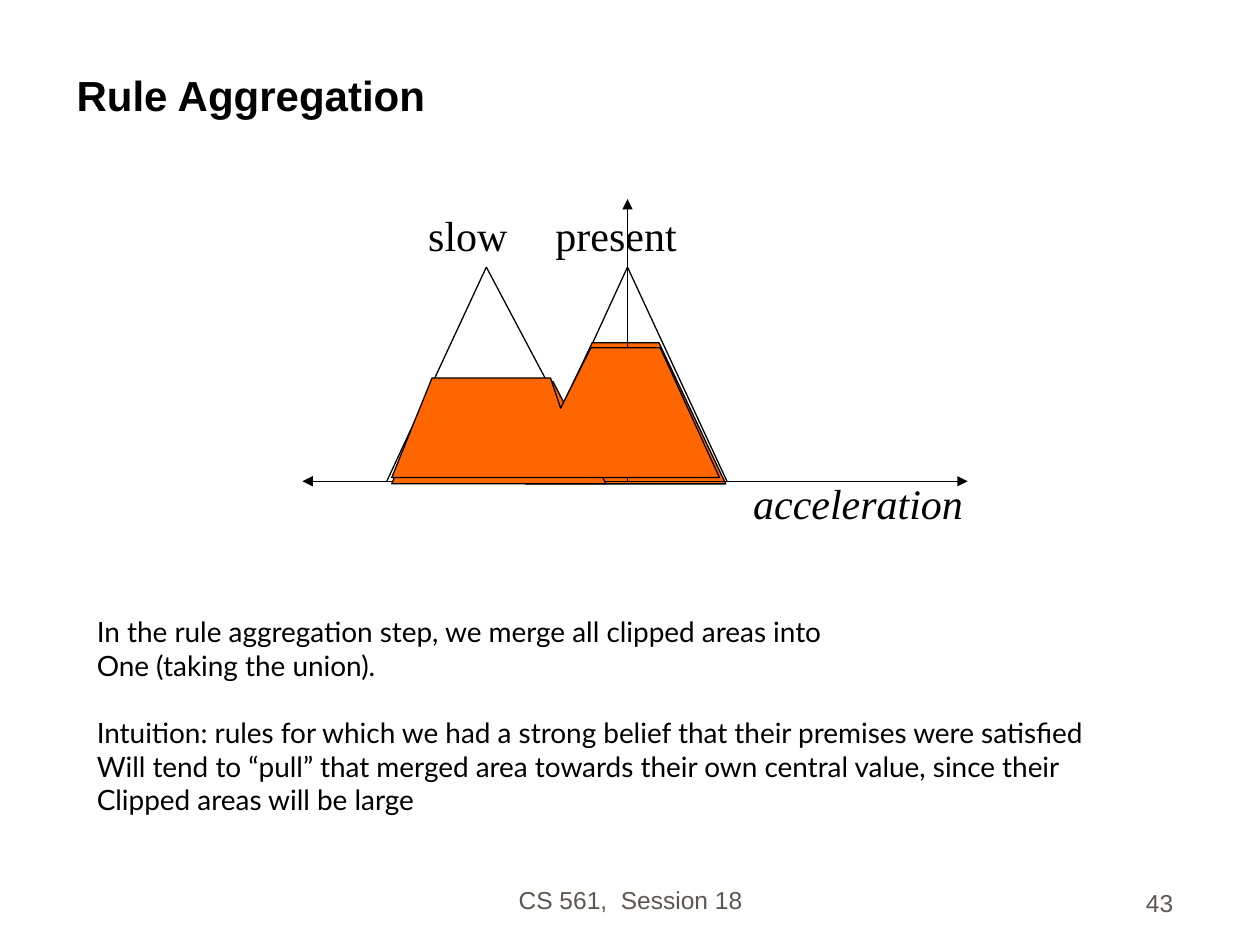
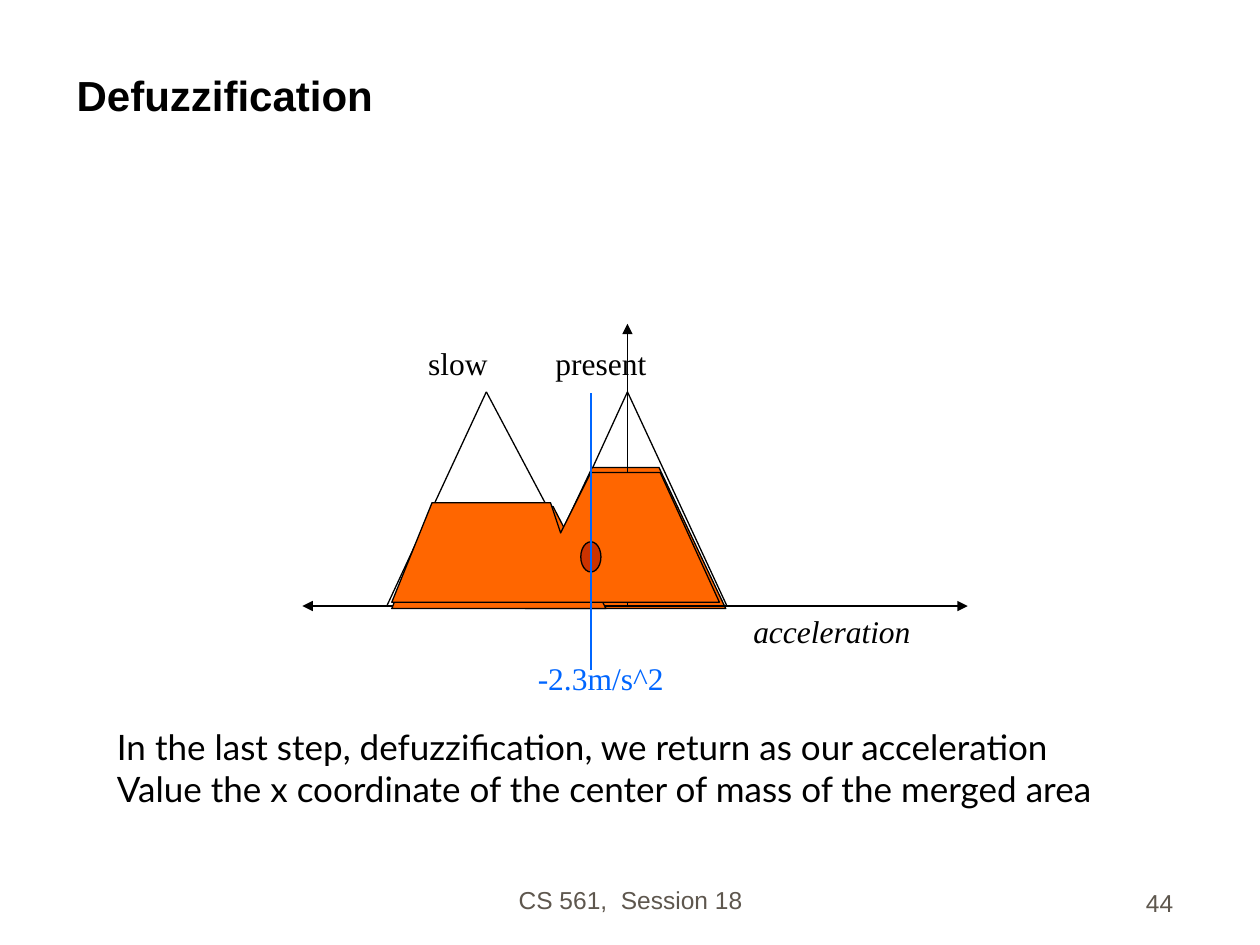
import pptx
import pptx.dml.color
import pptx.enum.shapes
import pptx.enum.text
import pptx.oxml
import pptx.oxml.ns
import pptx.util

PX = 9144  # 100 px to the inch
BLACK, GREY, ORANGE, RED, BLUE = "000000", "5E574E", "FF6600", "CC3300", "0066FF"
HEADING_FONT, BODY_FONT, GRAPH_FONT = "Arial", "Lato", "Times New Roman"
ALIGN = pptx.enum.text.PP_ALIGN
ANCHOR = pptx.enum.text.MSO_ANCHOR
AUTO_SIZE = pptx.enum.text.MSO_AUTO_SIZE
SHAPE = pptx.enum.shapes.MSO_SHAPE

# Graph geometry, relative to the graph's top left corner
BASELINE, PEAK = 224, 54
PRESENT_X, SLOW_X = 258, 146
PRESENT_CLIP = [(177, 226), (230, 114), (283, 114), (336, 226)]
SLOW_CLIP = [(71, 226), (103, 145), (199, 145), (241, 226)]
MERGED_AREA = [(71, 221), (103, 142), (197, 142), (205, 166),
               (229, 118), (284, 118), (331, 221)]


def px(length):
    return pptx.util.Emu(round(length * PX))


def color(hex_code):
    return pptx.dml.color.RGBColor.from_string(hex_code)


def add_text(slide, text, box, size, font, hex_code=BLACK, bold=False, italic=False,
             align=ALIGN.LEFT, anchor=ANCHOR.TOP, wrap=False, gaps=None):
    """Write one paragraph per line; gaps maps a line's index to its space before in points."""
    frame = slide.shapes.add_textbox(*map(px, box)).text_frame
    frame.word_wrap = wrap
    frame.auto_size = AUTO_SIZE.NONE if wrap else AUTO_SIZE.SHAPE_TO_FIT_TEXT
    frame.vertical_anchor = anchor
    for index, line in enumerate(text.split("\n")):
        paragraph = frame.add_paragraph() if index else frame.paragraphs[0]
        paragraph.alignment = align
        if gaps and index in gaps:
            paragraph.space_before = pptx.util.Pt(gaps[index])
        run = paragraph.add_run()
        run.text = line
        run.font.size = pptx.util.Pt(size)
        run.font.name = font
        run.font.bold, run.font.italic = bold, italic
        run.font.color.rgb = color(hex_code)


def add_line(slide, start, end, hex_code=BLACK, arrows=()):
    """Draw a straight line; arrows lists the ends with a triangle: headEnd, tailEnd."""
    line = slide.shapes.add_connector(
        pptx.enum.shapes.MSO_CONNECTOR.STRAIGHT, *map(px, (*start, *end)))
    line.line.color.rgb = color(hex_code)
    line.line.width = pptx.util.Pt(0.75)
    outline = line.line._get_or_add_ln()
    for arrow in arrows:
        tip = pptx.oxml.parse_xml(
            f'<a:{arrow} {pptx.oxml.ns.nsdecls("a")} type="triangle"/>')
        outline.append(tip)
    line._element.spPr.append(
        pptx.oxml.parse_xml(f'<a:effectLst {pptx.oxml.ns.nsdecls("a")}/>'))


def paint(shape, fill):
    shape.shadow.inherit = False
    shape.fill.solid()
    shape.fill.fore_color.rgb = color(fill)
    shape.line.color.rgb = color(BLACK)
    shape.line.width = pptx.util.Pt(0.75)


def add_area(slide, origin, corners):
    left, top = origin
    points = [(px(left + x), px(top + y)) for x, y in corners]
    outline = slide.shapes.build_freeform(*points[0], scale=1.0)
    outline.add_line_segments(points[1:], close=True)
    paint(outline.convert_to_shape(), ORANGE)


def add_membership_graph(slide, origin, label_size):
    left, top = origin

    def at(x, y):
        return left + x, top + y

    def label(text, x, y, text_width, italic=False):
        """Place a label whose text_width is measured at 24 points."""
        drop = (24 - label_size) * 4 / 3
        box = (*at(x, y + drop), 20 + text_width * label_size / 24,
               10 + label_size * 5 / 3)
        add_text(slide, text, box, label_size, GRAPH_FONT, italic=italic)

    add_line(slide, at(180, BASELINE), at(PRESENT_X, PEAK))
    add_line(slide, at(PRESENT_X, PEAK), at(337, BASELINE))
    label("present", 191, 3, 98)
    add_area(slide, origin, PRESENT_CLIP)
    add_line(slide, at(0, BASELINE), at(528, BASELINE), arrows=("headEnd", "tailEnd"))
    add_line(slide, at(PRESENT_X, BASELINE), at(PRESENT_X, 0), arrows=("tailEnd",))
    add_line(slide, at(236, BASELINE), at(SLOW_X, PEAK))
    add_line(slide, at(SLOW_X, PEAK), at(67, BASELINE))
    label("acceleration", 348, 216, 170, italic=True)
    label("slow", 90, 3, 65)
    add_area(slide, origin, SLOW_CLIP)
    add_area(slide, origin, MERGED_AREA)


def add_center_of_mass(slide, origin, value):
    left, top = origin
    center_x = left + 229
    center = slide.shapes.add_shape(
        SHAPE.OVAL, *map(px, (center_x - 8, top + 173, 16, 24)))
    paint(center, RED)
    add_line(slide, (center_x, top + 55), (center_x, top + 275), BLUE)
    add_text(slide, value, (left + 177, top + 261, 120, 40), 18, GRAPH_FONT, BLUE)


def add_frame(deck, title, number):
    """Add a slide with its title and footer."""
    slide = deck.slides.add_slide(deck.slide_layouts[6])
    footer = dict(size=14, font=HEADING_FONT, hex_code=GREY, anchor=ANCHOR.BOTTOM, wrap=True)
    add_text(slide, "CS 561,  Session 18", (342, 681, 317, 50), align=ALIGN.CENTER, **footer)
    add_text(slide, str(number), (733, 683, 208, 50), align=ALIGN.RIGHT, **footer)
    add_text(slide, title, (51, 25, 892, 75), 24, HEADING_FONT, bold=True,
             anchor=ANCHOR.BOTTOM, wrap=True)
    return slide


def add_aggregation_slide(deck):
    slide = add_frame(deck, "Rule Aggregation", 43)
    add_membership_graph(slide, (240, 158), label_size=24)
    explanation = (
        "In the rule aggregation step, we merge all clipped areas into\n"
        "One (taking the union).\n"
        "Intuition: rules for which we had a strong belief that their premises were satisfied\n"
        "Will tend to “pull” that merged area towards their own central value, since their\n"
        "Clipped areas will be large")
    add_text(slide, explanation, (67, 483, 820, 170), 16, BODY_FONT, gaps={2: 19.2})


def add_defuzzification_slide(deck):
    slide = add_frame(deck, "Defuzzification", 44)
    graph_origin = (240, 257)
    add_membership_graph(slide, graph_origin, label_size=18)
    explanation = (
        "In the last step, defuzzification, we return as our acceleration\n"
        "Value the x coordinate of the center of mass of the merged area")
    add_text(slide, explanation, (83, 571, 811, 77), 20, BODY_FONT)
    add_center_of_mass(slide, graph_origin, "-2.3m/s^2")


def main():
    deck = pptx.Presentation()
    deck.slide_width, deck.slide_height = px(1000), px(750)
    add_aggregation_slide(deck)
    add_defuzzification_slide(deck)
    deck.save("out.pptx")


if __name__ == "__main__":
    main()
